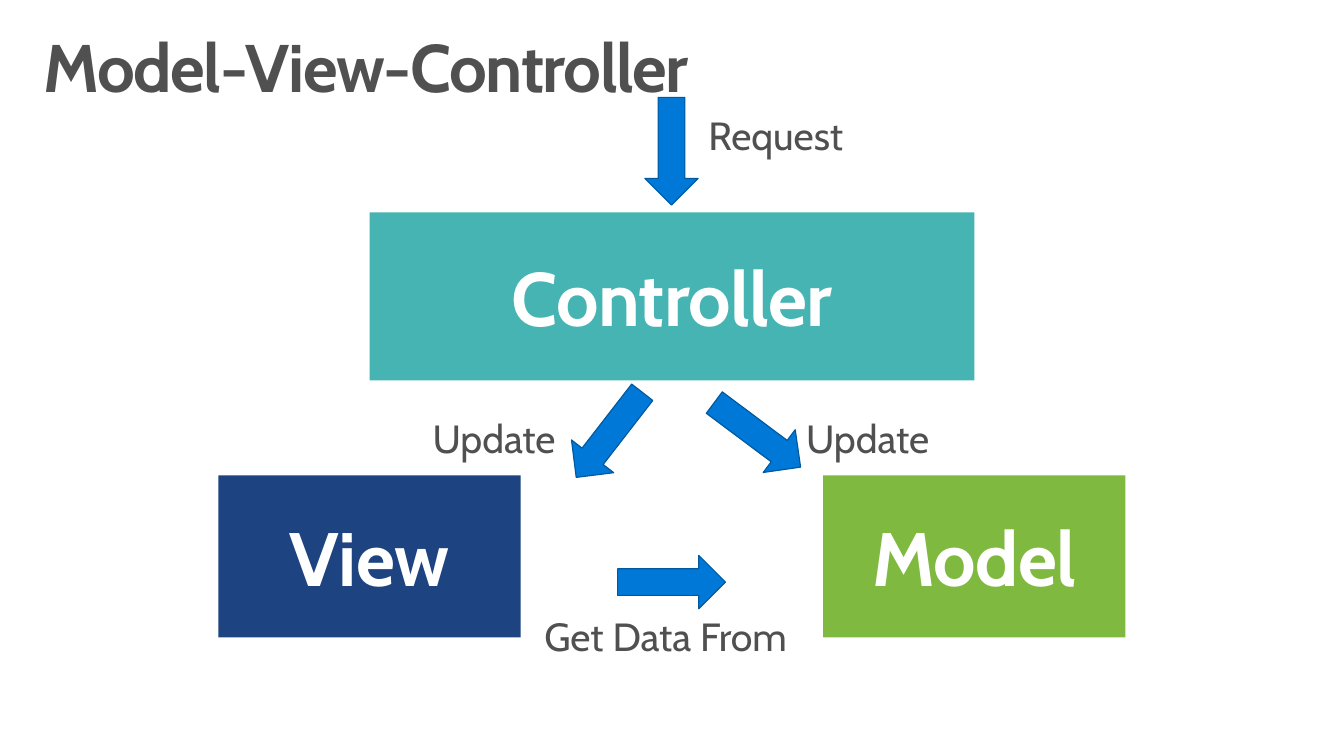
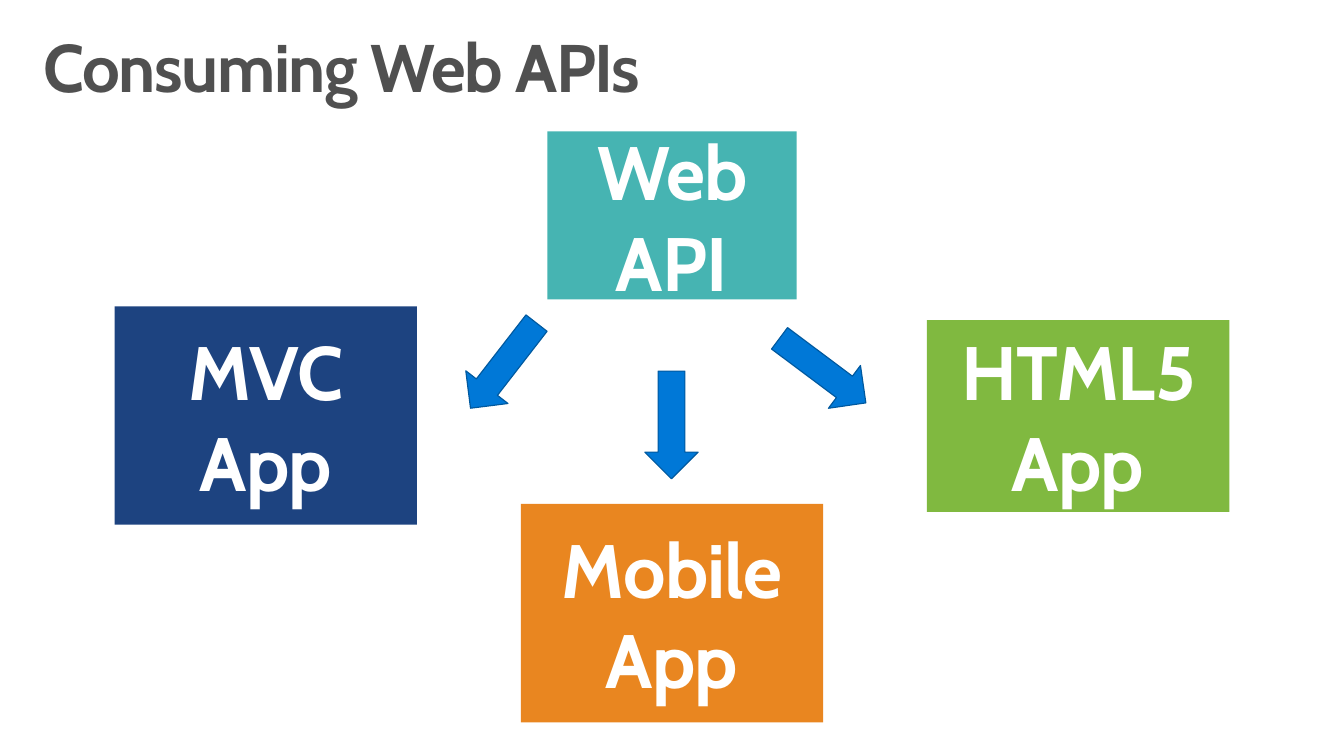
from dataclasses import dataclass

from pptx import Presentation
from pptx.dml.color import RGBColor
from pptx.enum.shapes import MSO_SHAPE
from pptx.enum.text import MSO_ANCHOR, MSO_AUTO_SIZE, PP_ALIGN
from pptx.util import Inches, Pt

FONT = "Cabin"
HEX = {
    "text": "505050", "white": "FFFFFF", "navy": "1D4380", "green": "80B940",
    "teal": "46B4B2", "orange": "E98620", "blue": "0078D7", "edge": "00599F",
}
DOWN, LEFT, RIGHT = 90, 127.8, 36.8  # arrow turns in degrees


@dataclass
class Box:
    text: str
    fill: str
    x: float
    y: float
    w: float
    h: float


@dataclass
class Arrow:
    x: float
    y: float
    turn: float = 0


@dataclass
class Label:
    text: str
    x: float
    y: float
    w: float


@dataclass
class Page:
    title: str
    marks: list[Box | Arrow | Label]


PAGES = [
    Page("Model-View-Controller", [
        Box("View", "navy", 2.21, 4.81, 3.06, 1.64),
        Box("Model", "green", 8.33, 4.81, 3.06, 1.64),
        Box("Controller", "teal", 3.74, 2.15, 6.12, 1.7),
        Arrow(6.25, 1.26, DOWN),
        Arrow(5.62, 4.13, LEFT),
        Arrow(7.12, 4.13, RIGHT),
        Arrow(6.25, 5.62),
        Label("Request", 7.07, 1.08, 1.65),
        Label("Update", 8.06, 4.14, 1.52),
        Label("Update", 4.28, 4.14, 1.52),
        Label("Get Data From", 5.41, 6.15, 2.83),
    ]),
    Page("Consuming Web APIs", [
        Box("MVC App", "navy", 1.16, 3.1, 3.06, 2.21),
        Box("HTML5 App", "green", 9.38, 3.24, 3.06, 1.94),
        Box("Web API", "teal", 5.54, 1.33, 2.52, 1.7),
        Arrow(6.25, 4.03, DOWN),
        Arrow(4.55, 3.43, LEFT),
        Arrow(7.78, 3.48, RIGHT),
        Box("Mobile App", "orange", 5.27, 5.1, 3.06, 2.21),
    ]),
]


def color(name: str) -> RGBColor:
    return RGBColor.from_string(HEX[name])


def area(x: float, y: float, w: float, h: float) -> list[Inches]:
    return [Inches(v) for v in (x, y, w, h)]


def write(frame, text: str, size: float, tint: str, bold: bool = False,
          track: int = 0, align=PP_ALIGN.LEFT):
    """Fill a text frame with one styled paragraph; track is in 1/100 pt."""
    frame.text = text
    para = frame.paragraphs[0]
    para.alignment = align
    font = para.font
    font.name, font.size, font.bold = FONT, Pt(size), bold
    font.color.rgb = color(tint)
    if track:
        para.runs[0]._r.get_or_add_rPr().set("spc", str(track))
    return para


def inset(frame, side: float, top: float) -> None:
    frame.margin_left = frame.margin_right = Inches(side)
    frame.margin_top = frame.margin_bottom = Inches(top)


# Title shared by all slides
def add_title(slide, text: str) -> None:
    title = slide.shapes.title
    title.left, title.top, title.width, title.height = area(0.28, 0.25, 13.04, 0.83)
    frame = title.text_frame
    frame.auto_size = MSO_AUTO_SIZE.NONE
    frame.vertical_anchor = MSO_ANCHOR.TOP
    inset(frame, 0.16, 0.1)
    write(frame, text, 49, "text", True, -100).line_spacing = 0.9


# Diagram elements
def add_box(slide, box: Box) -> None:
    shape = slide.shapes.add_shape(
        MSO_SHAPE.RECTANGLE, *area(box.x, box.y, box.w, box.h))
    shape.shadow.inherit = False
    shape.fill.solid()
    shape.fill.fore_color.rgb = color(box.fill)
    shape.line.fill.background()
    frame = shape.text_frame
    frame.word_wrap = True
    frame.vertical_anchor = MSO_ANCHOR.MIDDLE
    inset(frame, 0.05, 0.05)
    write(frame, box.text, 55.1, "white", True, -50, PP_ALIGN.CENTER)


def add_arrow(slide, arrow: Arrow) -> None:
    shape = slide.shapes.add_shape(
        MSO_SHAPE.RIGHT_ARROW, *area(arrow.x, arrow.y, 1.09, 0.54))
    shape.rotation = arrow.turn
    shape.shadow.inherit = False
    shape.fill.solid()
    shape.fill.fore_color.rgb = color("blue")
    shape.line.color.rgb = color("edge")
    shape.line.width = Pt(0.85)


def add_label(slide, label: Label) -> None:
    frame = slide.shapes.add_textbox(
        *area(label.x, label.y, label.w, 0.59)).text_frame
    frame.word_wrap = False
    frame.auto_size = MSO_AUTO_SIZE.SHAPE_TO_FIT_TEXT
    write(frame, label.text, 28.6, "text")


DRAW = {Box: add_box, Arrow: add_arrow, Label: add_label}


def main() -> None:
    deck = Presentation()
    deck.slide_width, deck.slide_height = Inches(13.6), Inches(7.65)
    for page in PAGES:
        slide = deck.slides.add_slide(deck.slide_layouts[5])  # title only
        add_title(slide, page.title)
        for mark in page.marks:
            DRAW[type(mark)](slide, mark)
    deck.save("out.pptx")


if __name__ == "__main__":
    main()
